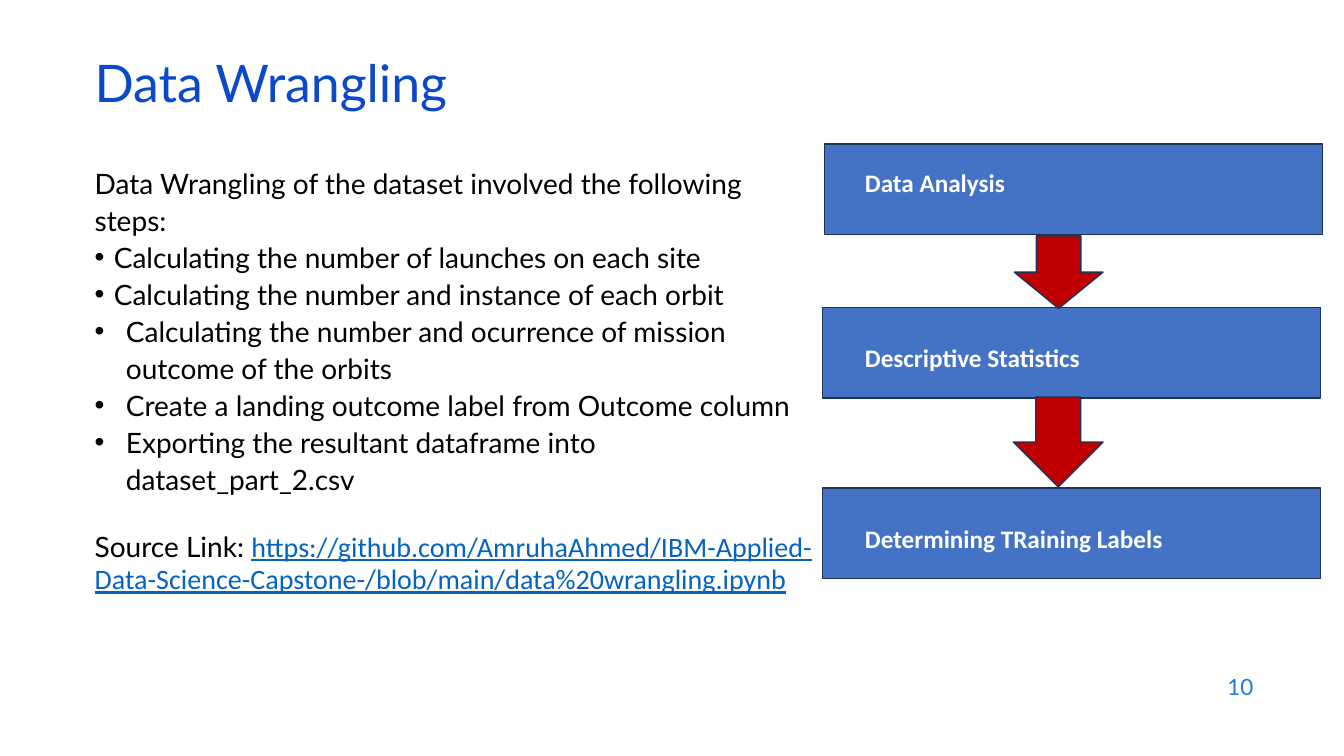
from lxml import etree
from pptx import Presentation
from pptx import util as u
from pptx.dml import color
from pptx.enum import shapes, text
from pptx.oxml import ns

COLORS = {"title": "0B49CB", "number": "1C7DDB", "body": "000000", "link": "0563C1",
          "step": "4472C4", "arrow": "C00000", "outline": "1E3256", "label": "FFFFFF"}


class SlideBuilder:
    """Draw styled text and shapes on the current slide."""

    def __init__(self, page):
        self.page = page

    def style(self, font, size, shade, name="Lato", bold=False):
        font.name, font.size, font.bold = name, u.Pt(size), bold
        font.color.rgb = color.RGBColor.from_string(COLORS[shade])

    def frame(self, left, top, width, height, anchor=text.MSO_ANCHOR.TOP):
        box = self.page.shapes.add_textbox(*map(u.Inches, (left, top, width, height)))
        box.text_frame.word_wrap = True
        box.text_frame.vertical_anchor = anchor
        return box.text_frame

    def line(self, area, words, size, shade, align=text.PP_ALIGN.LEFT, spacing=1.0, **look):
        para = area.paragraphs[0]
        para.text = words
        para.alignment, para.line_spacing = align, spacing
        self.style(para.font, size, shade, **look)

    def bullet(self, area, words, indent):
        para = area.add_paragraph()
        para.text = words
        para.line_spacing = 1.1
        properties = para._p.get_or_add_pPr()
        properties.set("marL", str(u.Inches(indent)))
        properties.set("indent", str(-u.Inches(indent)))
        etree.SubElement(properties, ns.qn("a:buFont")).set("typeface", "Arial")
        etree.SubElement(properties, ns.qn("a:buChar")).set("char", "•")
        self.style(para.font, 20, "body")

    def link(self, area, caption, address):
        para = area.add_paragraph()
        para.line_spacing, para.space_before = 0.98, u.Pt(25)
        for words, shade, name in ((caption, "body", "Lato"), (address, "link", "Calibri")):
            span = para.add_run()
            span.text = words
            self.style(span.font, 20, shade, name)
        span.font.underline = True

    def shape(self, kind, fill, left, top, width, height):
        shape = self.page.shapes.add_shape(kind, *map(u.Inches, (left, top, width, height)))
        shape.shadow.inherit = False
        shape.fill.solid()
        shape.fill.fore_color.rgb = color.RGBColor.from_string(COLORS[fill])
        shape.line.color.rgb = color.RGBColor.from_string(COLORS["outline"])
        shape.line.width = u.Pt(1)


def main():
    deck = Presentation()
    deck.slide_width, deck.slide_height = u.Inches(13.33), u.Inches(7.5)
    builder = SlideBuilder(deck.slides.add_slide(deck.slide_layouts[6]))
    middle = text.MSO_ANCHOR.MIDDLE

    body = builder.frame(0.84, 1.57, 7.32, 4.76)
    builder.line(body, "Data Wrangling of the dataset involved the following steps:",
                 20, "body", spacing=1.1)
    for words, indent in (
            ("Calculating the number of launches on each site", 0.19),
            ("Calculating the number and instance of each orbit", 0.19),
            ("Calculating the number and ocurrence of mission outcome of the orbits", 0.31),
            ("Create a landing outcome label from Outcome column", 0.31),
            ("Exporting the resultant dataframe into dataset_part_2.csv", 0.31)):
        builder.bullet(body, words, indent)
    builder.link(body, "Source Link: ", "https://github.com/AmruhaAhmed/IBM-Applied-Data-"
                 "Science-Capstone-/blob/main/data%20wrangling.ipynb")

    builder.line(builder.frame(0.84, 0.59, 11.5, 0.6, middle), "Data Wrangling",
                 37, "title", spacing=0.7)
    builder.line(builder.frame(9.53, 6.59, 3, 0.44, middle), "10",
                 16, "number", align=text.PP_ALIGN.RIGHT)

    for words, left, top, label_top in (
            ("Data Analysis", 8.18, 1.43, 1.61),
            ("Descriptive Statistics", 8.16, 3.05, 3.35),
            ("Determining TRaining Labels", 8.16, 4.84, 5.14)):
        builder.shape(shapes.MSO_SHAPE.RECTANGLE, "step", left, top, 4.94, 0.9)
        builder.line(builder.frame(8.48, label_top, 4.3, 0.4), words,
                     18, "label", name="Calibri", bold=True)
    for bounds in ((10.06, 2.34, 0.88, 0.72), (10.05, 3.94, 0.89, 0.89)):
        builder.shape(shapes.MSO_SHAPE.DOWN_ARROW, "arrow", *bounds)

    deck.save("out.pptx")


if __name__ == "__main__":
    main()
